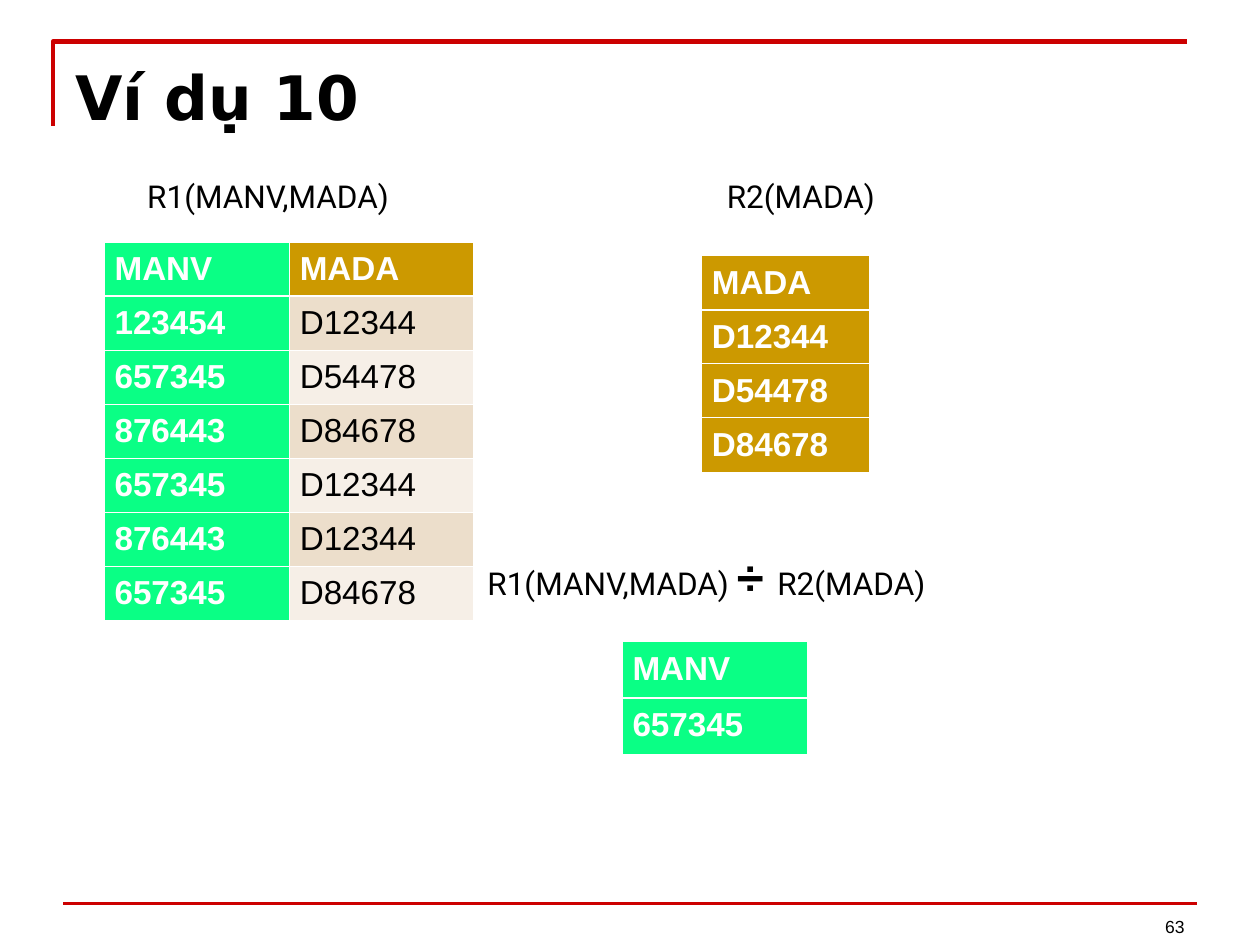
"""Build the relational division example slide."""
from lxml.etree import SubElement
from pptx import Presentation
from pptx.dml.color import RGBColor
from pptx.enum.shapes import MSO_CONNECTOR
from pptx.enum.text import MSO_ANCHOR as Anchor, PP_ALIGN as Align
from pptx.oxml.ns import qn
from pptx.util import Inches, Pt

RED = RGBColor(0xCC, 0x00, 0x00)
BLACK = RGBColor(0x00, 0x00, 0x00)
WHITE = RGBColor(0xFF, 0xFF, 0xFF)
GREEN = RGBColor(0x0A, 0xFF, 0x85)
GOLD = RGBColor(0xCC, 0x99, 0x00)
SAND = RGBColor(0xEC, 0xDE, 0xCB)
CREAM = RGBColor(0xF6, 0xEF, 0xE7)


def add_span(para, text, size, name, bold=False, color=BLACK):
    span = para.add_run()
    span.text = text
    span.font.size = Pt(size)
    span.font.name = name
    span.font.bold = bold
    span.font.color.rgb = color


def set_borders(cell, row_index):
    properties = cell._tc.get_or_add_tcPr()
    widths = {"lnL": 0.45, "lnR": 0.45,
              "lnT": 1.47 if row_index == 1 else 0.45,
              "lnB": 1.47 if row_index == 0 else 0.45}
    for side, width in widths.items():
        line = SubElement(properties, qn(f"a:{side}"), w=str(Pt(width)))
        fill = SubElement(line, qn("a:solidFill"))
        SubElement(fill, qn("a:srgbClr"), val=str(WHITE))


deck = Presentation()
deck.slide_width, deck.slide_height = Inches(10), Inches(7.5)
page = deck.slides.add_slide(deck.slide_layouts[6])

builder = page.shapes.build_freeform(Inches(0.42), Inches(1))
builder.add_line_segments(
    [(Inches(0.42), Inches(0.33)), (Inches(9.42), Inches(0.33))], close=False)
corner = builder.convert_to_shape()
corner.shadow.inherit = False
corner.fill.background()
corner.line.color.rgb = RED
corner.line.width = Pt(2.5)

rule = page.shapes.add_connector(
    MSO_CONNECTOR.STRAIGHT, Inches(0.5), Inches(7.17), Inches(9.5), Inches(7.17))
rule.line.color.rgb = RED
rule.line.width = Pt(2)
SubElement(rule._element.spPr, qn("a:effectLst"))

texts = [
    (7.17, 6.99, 2.33, 0.5, Anchor.BOTTOM, Align.RIGHT, 0.05, [("63", 10, "Arial")]),
    (0.5, 0.39, 9.33, 0.68, Anchor.BOTTOM, Align.LEFT, 0.02,
     [("Ví dụ 10", 35, "DejaVu Sans", True)]),
    (1.07, 1.36, 2.46, 0.4, Anchor.TOP, Align.LEFT, 0.05,
     [("R1(MANV,MADA)", 18, "Roboto")]),
    (5.67, 1.36, 2.45, 0.4, Anchor.TOP, Align.LEFT, 0.05,
     [("R2(MADA)", 18, "Roboto")]),
    (3.77, 4.29, 4.33, 0.57, Anchor.TOP, Align.LEFT, 0.05,
     [("R1(MANV,MADA) ", 18, "Roboto"), ("÷ ", 28, "Arial", True),
      ("R2(MADA)", 18, "Roboto")]),
]
for left, top, width, height, anchor, align, bottom, spans in texts:
    box = page.shapes.add_textbox(
        Inches(left), Inches(top), Inches(width), Inches(height))
    frame = box.text_frame
    frame.word_wrap = True
    frame.vertical_anchor = anchor
    frame.margin_bottom = Inches(bottom)
    para = frame.paragraphs[0]
    para.alignment = align
    for span in spans:
        add_span(para, *span)

projects = [["MADA"], ["D12344"], ["D54478"], ["D84678"]]
assignments = [
    ["MANV", "MADA"],
    ["123454", "D12344"],
    ["657345", "D54478"],
    ["876443", "D84678"],
    ["657345", "D12344"],
    ["876443", "D12344"],
    ["657345", "D84678"],
]
quotient = [["MANV"], ["657345"]]
tables = [
    (5.57, 2.03, [1.33], 0.04, [GOLD], projects),
    (0.83, 1.92, [1.47, 1.46], 0.04, [GREEN, GOLD], assignments),
    (4.94, 5.09, [1.47], 0.06, [GREEN], quotient),
]
for left, top, widths, bottom, colors, rows in tables:
    table = page.shapes.add_table(
        len(rows), len(widths), Inches(left), Inches(top),
        Inches(sum(widths)), Inches(0.34 * len(rows))).table
    for column, width in zip(table.columns, widths):
        column.width = Inches(width)
    for row_index, values in enumerate(rows):
        table.rows[row_index].height = Inches(0.34)
        for column_index, value in enumerate(values):
            cell = table.cell(row_index, column_index)
            plain = row_index > 0 and column_index > 0
            set_borders(cell, row_index)
            cell.fill.solid()
            band = SAND if row_index % 2 else CREAM
            cell.fill.fore_color.rgb = band if plain else colors[column_index]
            cell.margin_left = cell.margin_right = Inches(0.08)
            cell.margin_top, cell.margin_bottom = Inches(0.05), Inches(bottom)
            para = cell.text_frame.paragraphs[0]
            para.line_spacing = 1.07
            add_span(para, value, 19, "Arial", not plain, BLACK if plain else WHITE)

deck.save("out.pptx")
